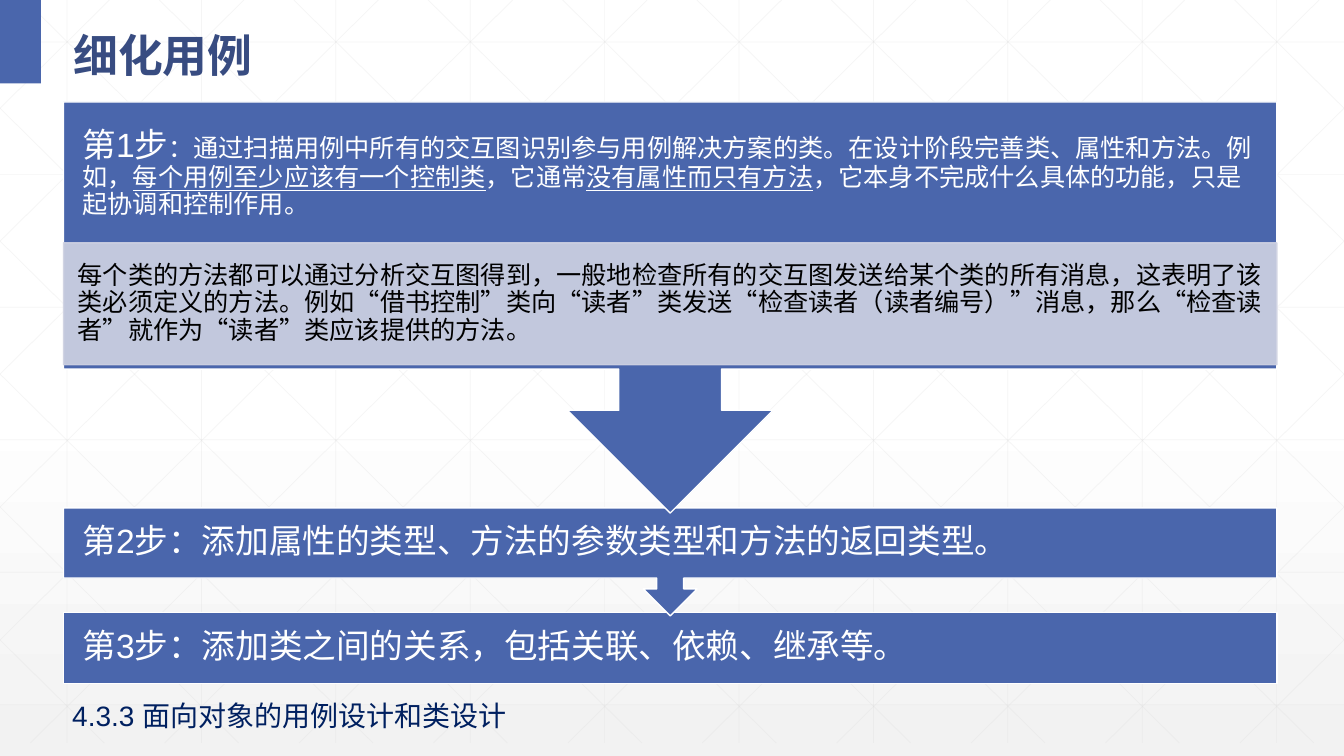
from dataclasses import dataclass
from typing import NamedTuple, Optional

from lxml.etree import SubElement as Sub
from pptx import Presentation
from pptx.dml.color import RGBColor as Rgb
from pptx.enum.lang import MSO_LANGUAGE_ID as Lang
from pptx.enum.shapes import MSO_CONNECTOR as Link, MSO_SHAPE as Kind
from pptx.enum.text import MSO_ANCHOR as Anchor, PP_ALIGN as Align
from pptx.oxml.ns import qn
from pptx.util import Cm, Pt

WIDE, HIGH = 33.87, 19.05


@dataclass(frozen=True)
class Theme:
    """Colours, fonts and type sizes of the slide."""
    blue: str = "4A66AC"
    navy: str = "384C81"
    foot: str = "002060"
    pale: str = "D0D3E3"
    grid: str = "D9D9D9"
    shade: str = "F2F2F2"
    white: str = "FFFFFF"
    black: str = "000000"
    latin: str = "Arial"
    asian: str = "Noto Sans CJK SC"
    head: int = 32
    step: int = 24
    small: int = 20
    body: int = 18


T = Theme()


class Run(NamedTuple):
    """A stretch of text in one style."""
    text: str
    size: int
    color: str = T.white
    under: bool = False
    bold: bool = False
    font: str = T.latin


class Area(NamedTuple):
    """A place on the slide in centimetres."""
    left: float
    top: float
    width: float
    height: float


class Inset(NamedTuple):
    """Inner margins of a text frame in centimetres."""
    left: float = 0.48
    top: float = 0.48
    right: float = 0.48
    bottom: float = 0.48


class Block(NamedTuple):
    """A filled shape with its text."""
    kind: Kind
    area: Area
    runs: tuple[Run, ...] = ()
    fill: str = T.blue
    line: Optional[str] = T.white
    alpha: int = 100
    inset: Inset = Inset()


def fade(fill, alpha: int) -> None:
    """Make a solid fill partly transparent."""
    if alpha < 100:
        Sub(fill._xPr.find(".//" + qn("a:srgbClr")), qn("a:alpha"), val=str(alpha * 1000))


def write(frame, runs: tuple[Run, ...], inset: Inset, gap: float,
          anchor: Anchor = Anchor.MIDDLE) -> None:
    """Fill a text frame with one paragraph, run by run."""
    frame.word_wrap = True
    frame.vertical_anchor = anchor
    frame.margin_left, frame.margin_top = Cm(inset.left), Cm(inset.top)
    frame.margin_right, frame.margin_bottom = Cm(inset.right), Cm(inset.bottom)
    para = frame.paragraphs[0]
    para.alignment = Align.LEFT
    para.line_spacing = gap
    for item in runs:
        run = para.add_run()
        run.text = item.text
        font = run.font
        font.language_id = Lang.SIMPLIFIED_CHINESE
        font.size, font.bold, font.underline = Pt(item.size), item.bold, item.under
        font.color.rgb = Rgb.from_string(item.color)
        font.name = item.font
        Sub(run._r.get_or_add_rPr(), qn("a:ea"), typeface=T.asian)


def draw(slide, block: Block) -> None:
    """Draw one block."""
    shape = slide.shapes.add_shape(block.kind, *map(Cm, block.area))
    shape.shadow.inherit = False
    shape.fill.solid()
    shape.fill.fore_color.rgb = Rgb.from_string(block.fill)
    fade(shape.fill, block.alpha)
    if block.line:
        shape.line.color.rgb = Rgb.from_string(block.line)
        shape.line.width = Pt(1)
        fade(shape.line.fill, block.alpha)
    else:
        shape.line.fill.background()
    if block.runs:
        write(shape.text_frame, block.runs, block.inset, 0.9)


def label(slide, area: Area, run: Run, gap: float, anchor: Anchor) -> None:
    """Place a line of plain text."""
    box = slide.shapes.add_textbox(*map(Cm, area))
    write(box.text_frame, (run,), Inset(0.25, 0.13, 0.25, 0.13), gap, anchor)


def rule(slide, x1: float, y1: float, x2: float, y2: float) -> None:
    """Draw one faint line of the grid."""
    line = slide.shapes.add_connector(Link.STRAIGHT, Cm(x1), Cm(y1), Cm(x2), Cm(y2))
    line.line.color.rgb = Rgb.from_string(T.grid)
    line.line.width = Pt(0.5)
    fade(line.line.fill, 25)
    Sub(line._element.spPr, qn("a:effectLst"))


def slant(slide, top: float, run: float, drop: float) -> None:
    """Draw a diagonal from the top edge, cut at the slide's sides."""
    ends = []
    for x in (top, top + run):
        cut = min(max(x, 0), WIDE)
        ends += [cut, (cut - top) / run * drop]
    rule(slide, *ends)


def lattice(slide) -> None:
    """Draw the backdrop of upright, level and slanted lines."""
    step, drop, run = WIDE / 10, 18.72, 18.93
    for i in range(10):
        x = 1.69 + i * step
        rule(slide, x, 0, x, drop)
    for i in range(6):
        y = 1.06 + i * 3.34
        rule(slide, 0, y, WIDE, y)
    for i in range(15):
        slant(slide, 0.63 + (i - 5) * step, run, drop)
        slant(slide, 2.76 + i * step, -run, drop)


LEFT, SPAN = 1.6, 30.58
BLOCKS = (
    Block(Kind.RECTANGLE, Area(0, 0, 1.03, 2.1), line=None),
    Block(Kind.RECTANGLE, Area(LEFT, 15.44, SPAN, 1.78),
          (Run("第3步：添加类之间的关系，包括关联、依赖、继承等。", T.step),)),
    Block(Kind.DOWN_ARROW_CALLOUT, Area(LEFT, 12.8, SPAN, 2.72),
          (Run("第2步：添加属性的类型、方法的参数类型和方法的返回类型。", T.step),)),
    Block(Kind.DOWN_ARROW_CALLOUT, Area(LEFT, 2.57, SPAN, 10.36), (
        Run("第1步", T.step),
        Run("：通过扫描用例中所有的交互图识别参与用例解决方案的类。"
            "在设计阶段完善类、属性和方法。例如，", T.body),
        Run("每个用例至少应该有一个控制类", T.body, under=True),
        Run("，它通常", T.body),
        Run("没有属性而只有方法", T.body, under=True),
        Run("，它本身不完成什么具体的功能，只是起协调和控制作用。", T.body),
    ), inset=Inset(bottom=3.58)),
    Block(Kind.RECTANGLE, Area(LEFT, 6.12, SPAN, 3.07), (
        Run("每个类的方法都可以通过分析交互图得到，一般地检查所有的交互图发送给某个类的"
            "所有消息，这表明了该类必须定义的方法。例如“借书控制”类向“读者”类发送"
            "“检查读者（读者编号）”消息，那么“检查读者”就作为“读者”类应该提供的方法。",
            T.body, T.black),
    ), T.pale, T.pale, 90, Inset(0.36, 0.08, 0.36, 0.08)),
)


def main() -> None:
    """Build the slide and save it."""
    deck = Presentation()
    deck.slide_width, deck.slide_height = Cm(WIDE), Cm(HIGH)
    slide = deck.slides.add_slide(deck.slide_layouts[6])
    fill = slide.background.fill
    fill.gradient()
    fill.gradient_angle = 270
    for stop, spot, color in zip(fill.gradient_stops, (0.53, 1), (T.white, T.shade)):
        stop.position = spot
        stop.color.rgb = Rgb.from_string(color)
    lattice(slide)
    for block in BLOCKS:
        draw(slide, block)
    label(slide, Area(LEFT, 0.25, 31.55, 1.85),
          Run("细化用例", T.head, T.navy, bold=True, font=T.asian), 1.3, Anchor.MIDDLE)
    label(slide, Area(1.57, 17.48, 15.34, 1.12),
          Run("4.3.3 面向对象的用例设计和类设计", T.small, T.foot), 1.0, Anchor.TOP)
    deck.save("out.pptx")


if __name__ == "__main__":
    main()
